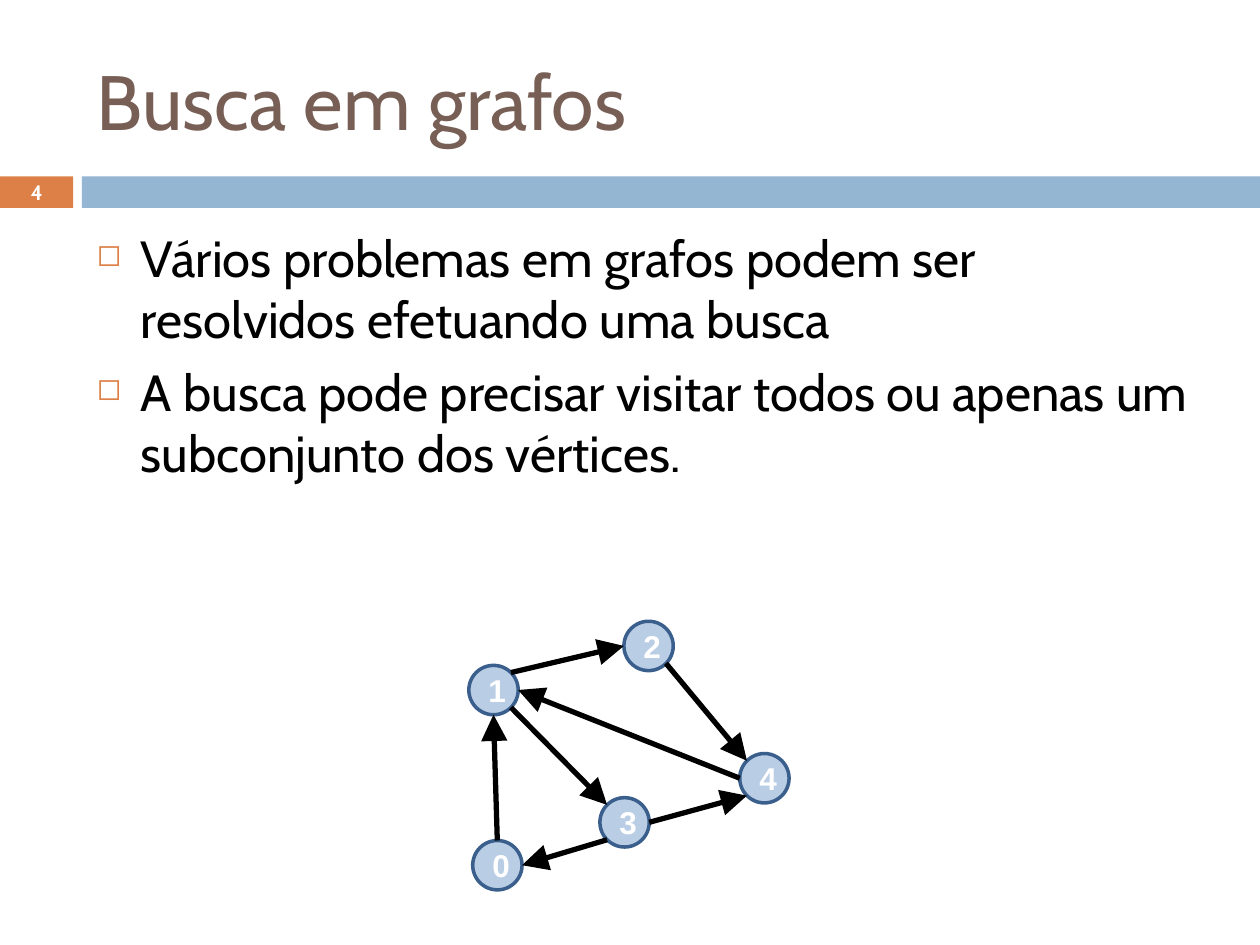
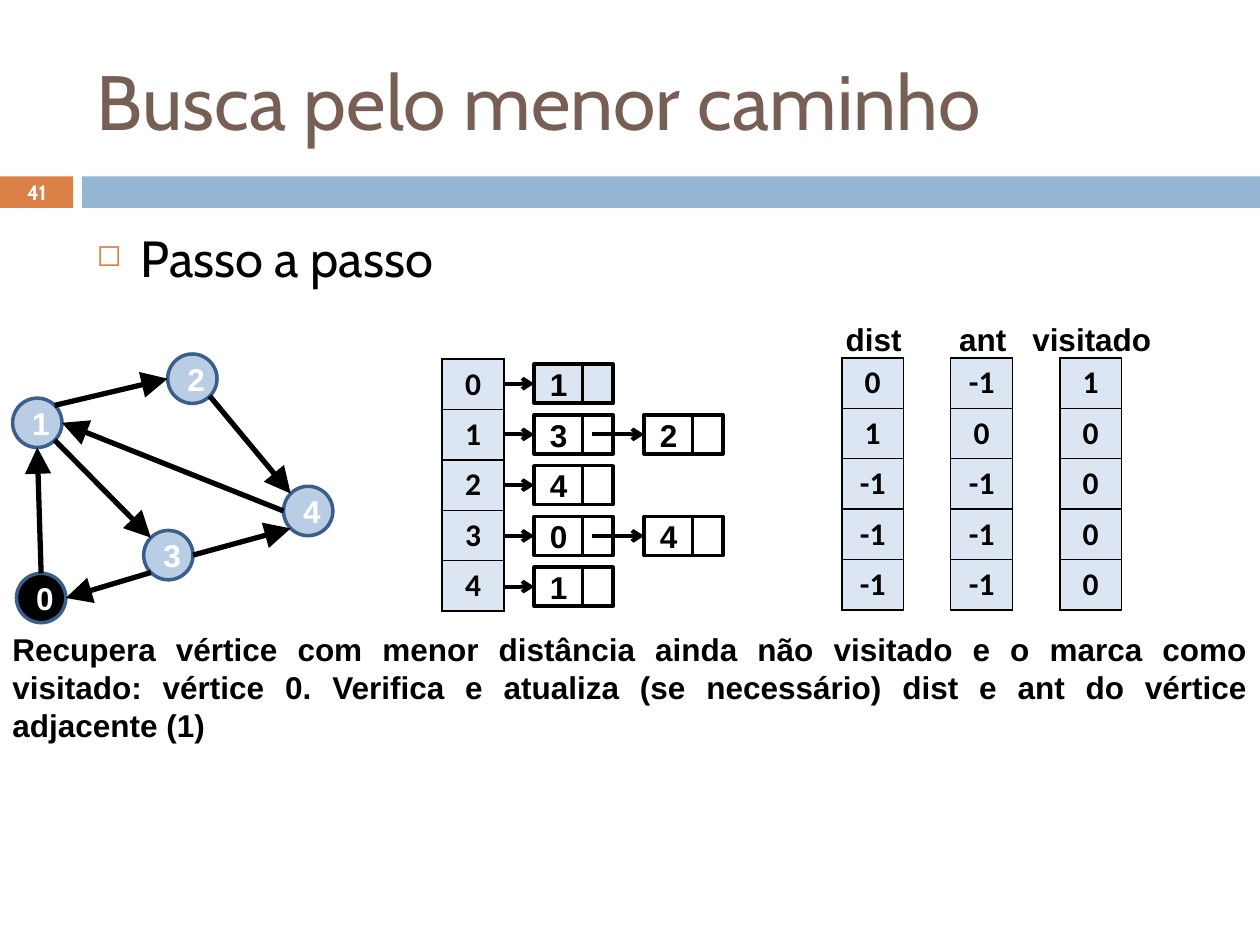
from math import cos, radians, sin

from lxml import etree
from pptx import Presentation
from pptx.dml.color import RGBColor
from pptx.enum.shapes import MSO_CONNECTOR, MSO_SHAPE
from pptx.enum.text import MSO_ANCHOR, PP_ALIGN
from pptx.oxml.ns import qn
from pptx.util import Pt

RECT, OVAL = MSO_SHAPE.RECTANGLE, MSO_SHAPE.OVAL
LINE = MSO_CONNECTOR.STRAIGHT
TOP, MID = MSO_ANCHOR.TOP, MSO_ANCHOR.MIDDLE
LEFT, CENTER, FULL = PP_ALIGN.LEFT, PP_ALIGN.CENTER, PP_ALIGN.JUSTIFY


class Theme:
    black = "000000"
    white = "FFFFFF"
    orange = "DD8047"
    band = "94B6D2"
    node = "B9CDE5"
    rim = "3A5F8C"
    cell = "DCE6F2"
    title = (44, "Cabin", "775F55", False)
    page = (11.9, "Cabin", white, True)
    body = (29, "Cabin", black, False)
    label = (18, "Arial", black, True)
    mark = (18, "Arial", white, True)
    entry = (18, "Calibri", black, True)


def put(slide, kind, box, fill=None, edge=None, text="", style=Theme.label,
        align=CENTER, anchor=MID):
    place = [Pt(v) for v in box]
    if kind is None:
        shape = slide.shapes.add_textbox(*place)
    else:
        shape = slide.shapes.add_shape(kind, *place)
        shape.shadow.inherit = False
        shape.fill.solid()
        shape.fill.fore_color.rgb = RGBColor.from_string(fill)
        if edge:
            shape.line.color.rgb = RGBColor.from_string(edge)
            shape.line.width = Pt(2)
        else:
            shape.line.fill.background()
    frame = shape.text_frame
    frame.word_wrap = True
    frame.vertical_anchor = anchor
    frame.text = text
    size, face, color, bold = style
    for par in frame.paragraphs:
        par.alignment = align
        for run in par.runs:
            run.font.size = Pt(size)
            run.font.name = face
            run.font.bold = bold
            run.font.color.rgb = RGBColor.from_string(color)
    return shape


def link(slide, start, end, width, head, scale, goal=None):
    line = slide.shapes.add_connector(LINE, *[Pt(v) for v in (*start, *end)])
    if goal is not None:
        line.end_connect(goal, 1)
    line.line.width = Pt(width)
    line.line.color.rgb = RGBColor.from_string(Theme.black)
    etree.SubElement(line.line._get_or_add_ln(), qn("a:tailEnd"),
                     type=head, w=scale, len=scale)
    etree.SubElement(line._element.spPr, qn("a:effectLst"))


deck = Presentation()
deck.slide_width, deck.slide_height = Pt(720), Pt(540)

pages = [
    ("Busca em grafos", "4",
     ["Vários problemas em grafos podem ser resolvidos efetuando uma busca",
      "A busca pode precisar visitar todos ou apenas um subconjunto dos vértices."],
     (267.9, 355), None),
    ("Busca pelo menor caminho", "41", ["Passo a passo"], (7.2, 202.3), "0"),
]
nodes = {"1": (0, 25.2), "4": (154.8, 75.6), "2": (88.6, 0),
         "3": (74.9, 100.8), "0": (2.2, 125.3)}
edges = [("2", 45, "4", 225), ("1", -45, "2", 180), ("3", 0, "4", 135),
         ("1", 45, "3", 225), ("0", -90, "1", 90), ("3", 135, "0", 0),
         ("4", 180, "1", 0)]
size = 28.2
radius = size / 2

for title, number, points, origin, seen in pages:
    slide = deck.slides.add_slide(deck.slide_layouts[6])
    put(slide, RECT, (0, 100.8, 41.8, 18), Theme.orange)
    put(slide, RECT, (46.8, 100.8, 673.2, 18), Theme.band)
    put(slide, None, (48.2, 18, 642.2, 77.8), text=title, style=Theme.title,
        align=LEFT)
    put(slide, None, (0, 100.1, 41.8, 19.4), text=number, style=Theme.page)
    body = put(slide, None, (48.2, 126, 642.2, 354.2), text="\n".join(points),
               style=Theme.body, align=LEFT, anchor=TOP)
    for rank, par in enumerate(body.text_frame.paragraphs):
        props = par._p.get_or_add_pPr()
        props.set("marL", str(Pt(25.2)))
        props.set("indent", str(-Pt(25.2)))
        tint = etree.SubElement(props, qn("a:buClr"))
        etree.SubElement(tint, qn("a:srgbClr"), val=Theme.orange)
        etree.SubElement(props, qn("a:buSzPct"), val="60000")
        etree.SubElement(props, qn("a:buChar"), char="◻")
        if rank:
            par.space_before = Pt(7)

    left, top = origin
    for name, (x, y) in nodes.items():
        fill = Theme.black if name == seen else Theme.node
        put(slide, OVAL, (left + x, top + y, size, size), fill, Theme.rim,
            name, Theme.mark)
    for tail, out, head, into in edges:
        start, end = [
            (left + nodes[name][0] + radius * (1 + cos(radians(turn))),
             top + nodes[name][1] + radius * (1 + sin(radians(turn))))
            for name, turn in ((tail, out), (head, into))]
        link(slide, start, end, 3, "triangle", "lg")

lists = [["1"], ["3", "2"], ["4"], ["0", "4"], ["1"]]
starts = [279.4, 338.4]
for row, chain in enumerate(lists):
    y = 208.1 + 29 * row
    fill = Theme.white if row else Theme.cell
    for col, value in enumerate(chain):
        x = 305.3 + 62.8 * col
        item = put(slide, RECT, (x, y, 28, 22.3), fill, Theme.black, value)
        put(slide, RECT, (x + 27.7, y, 17.3, 22.3), fill, Theme.black)
        middle = y + 11.15
        link(slide, (starts[col], middle), (x, middle), 2.25, "arrow", "med",
             item)

arrays = [("dist", ["0", "1", "-1", "-1", "-1"]),
          ("ant", ["-1", "0", "-1", "-1", "-1"]),
          ("visitado", ["1", "0", "0", "0", "0"])]
grids = [(252.7, 205.2, list("01234"))]
for col, (name, values) in enumerate(arrays):
    shift = 62.3 * col
    grids.append((481 + shift, 204.5, values))
    put(slide, None, (451.4 + shift, 179.3, 95.8, 28.8), text=name, anchor=TOP)

for x, y, values in grids:
    table = slide.shapes.add_table(len(values), 1, Pt(x), Pt(y), Pt(35.3),
                                   Pt(144)).table
    table.first_row = table.horz_banding = False
    for row, value in enumerate(values):
        cell = table.cell(row, 0)
        cell.margin_top = cell.margin_bottom = Pt(3)
        cell.vertical_anchor = MID
        cell.text = value
        par = cell.text_frame.paragraphs[0]
        par.alignment = CENTER
        font = par.runs[0].font
        points, font.name, color, font.bold = Theme.entry
        font.size = Pt(points)
        font.color.rgb = RGBColor.from_string(color)
        props = cell._tc.get_or_add_tcPr()
        for side in ("lnL", "lnR", "lnT", "lnB"):
            rule = etree.SubElement(props, qn("a:" + side), w=str(Pt(1)))
            paint = etree.SubElement(rule, qn("a:solidFill"))
            etree.SubElement(paint, qn("a:srgbClr"), val=Theme.black)
        cell.fill.solid()
        cell.fill.fore_color.rgb = RGBColor.from_string(Theme.cell)

put(slide, None, (0, 356.4, 720, 72.7), align=FULL, anchor=TOP,
    text="Recupera vértice com menor distância ainda não visitado e o marca "
         "como visitado: vértice 0. Verifica e atualiza (se necessário) dist "
         "e ant do vértice adjacente (1)")

deck.save("out.pptx")
